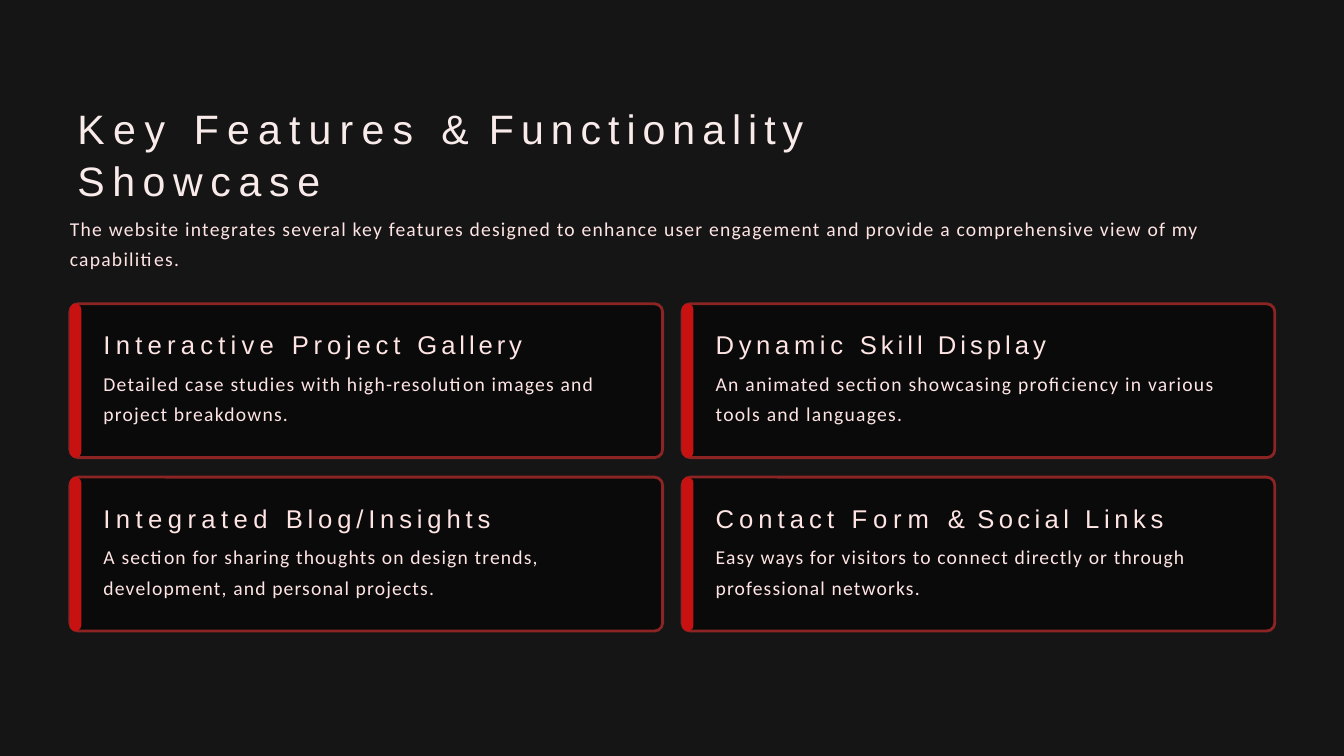
"""Build the key features slide: a heading, an introduction and a grid of four cards."""
from typing import NamedTuple

import pptx
import pptx.dml.color
import pptx.enum.shapes
import pptx.enum.text
import pptx.util

Inches = pptx.util.Inches
Pt = pptx.util.Pt
RGBColor = pptx.dml.color.RGBColor

PAGE_FILL = RGBColor(0x15, 0x15, 0x15)
CARD_FILL = RGBColor(0x0A, 0x0A, 0x0A)
BORDER = RGBColor(0x8C, 0x24, 0x24)
ACCENT = RGBColor(0xC8, 0x12, 0x12)
TITLE_COLOR = RGBColor(0xFA, 0xEB, 0xEB)
TEXT_COLOR = RGBColor(0xFF, 0xE4, 0xE4)

TITLE_FONT = {"name": "Arial", "size": Pt(44), "bold": False}
HEADING_FONT = {"name": "Arial", "size": Pt(27.5), "bold": False}
BODY_FONT = {"name": "Calibri", "size": Pt(21), "bold": False}

GRID_LEFT, GRID_TOP = 1.04, 4.52
CARD_WIDTH, CARD_HEIGHT = 8.82, 2.29
COLUMN_STEP, ROW_STEP = 9.11, 2.58
CORNER, BAR_WIDTH = 0.12, 0.17


class Span(NamedTuple):
    text: str
    spacing: float


class Card(NamedTuple):
    heading: list[Span]
    body: Span


TITLE = [Span("Key ", 9.2), Span("Features ", 8.8), Span("& ", 4.7),
         Span("Functionality ", 7.5), Span("Showcase", 8.2)]
INTRO = Span("The website integrates several key features designed to enhance user engagement "
             "and provide a comprehensive view of my capabilities.", 1.33)
CARDS = [
    Card([Span("Interactive ", 5.6), Span("Project ", 5.2), Span("Gallery", 4.2)],
         Span("Detailed case studies with high-resolution images and project breakdowns.", 1.3)),
    Card([Span("Dynamic ", 5), Span("Skill Display", 4.3)],
         Span("An animated section showcasing proficiency in various tools and languages.", 1.35)),
    Card([Span("Integrated ", 5.8), Span("Blog/Insights", 5.2)],
         Span("A section for sharing thoughts on design trends, development, "
              "and personal projects.", 1.25)),
    Card([Span("Contact ", 5.4), Span("Form ", 6.3), Span("& ", 2.8),
          Span("Social ", 4.7), Span("Links", 5)],
         Span("Easy ways for visitors to connect directly or through professional networks.", 1.25)),
]


def add_box(page, left: float, top: float, width: float, height: float):
    """Add an empty wrapping text box without insets and return its text frame."""
    frame = page.shapes.add_textbox(
        Inches(left), Inches(top), Inches(width), Inches(height)).text_frame
    settings = {"word_wrap": True, "margin_left": 0, "margin_top": 0, "margin_right": 0,
                "margin_bottom": 0, "vertical_anchor": pptx.enum.text.MSO_ANCHOR.TOP}
    for name, value in settings.items():
        setattr(frame, name, value)
    return frame


def write(para, spans: list[Span], font: dict, color: RGBColor, layout: dict) -> None:
    """Fill a paragraph with letter-spaced spans."""
    for name, value in layout.items():
        setattr(para, name, value)
    for text, spacing in spans:
        span = para.add_run()
        span.text = text
        for name, value in font.items():
            setattr(span.font, name, value)
        span.font.color.rgb = color
        span._r.get_or_add_rPr().set("spc", str(round(spacing * 100)))


def add_rounded(page, left: float, top: float, width: float, radius: float, fill: RGBColor):
    """Add a card-high rounded rectangle with the given corner radius."""
    shape = page.shapes.add_shape(
        pptx.enum.shapes.MSO_SHAPE.ROUNDED_RECTANGLE,
        Inches(left), Inches(top), Inches(width), Inches(CARD_HEIGHT))
    shape.adjustments[0] = radius / min(width, CARD_HEIGHT)
    shape.shadow.inherit = False
    shape.fill.solid()
    shape.fill.fore_color.rgb = fill
    shape.line.fill.background()
    return shape


def add_card(page, card: Card, left: float, top: float) -> None:
    """Draw one bordered card with its accent bar, heading and body."""
    panel = add_rounded(page, left, top, CARD_WIDTH, CORNER, CARD_FILL)
    panel.line.color.rgb = BORDER
    panel.line.width = Pt(3)
    add_rounded(page, left, top, BAR_WIDTH, BAR_WIDTH / 2, ACCENT)
    frame = add_box(page, left + 0.5, top + 0.38, 7.6, 1.45)
    write(frame.paragraphs[0], card.heading, HEADING_FONT, TEXT_COLOR, {})
    write(frame.add_paragraph(), [card.body], BODY_FONT, TEXT_COLOR,
          {"space_before": Pt(4.4), "line_spacing": Pt(33)})


def main() -> None:
    """Build and save the deck."""
    deck = pptx.Presentation()
    deck.slide_width, deck.slide_height = Inches(20), Inches(11.25)
    page = deck.slides.add_slide(deck.slide_layouts[6])
    page.background.fill.solid()
    page.background.fill.fore_color.rgb = PAGE_FILL

    title = add_box(page, 1.15, 1.5, 12, 1.55)
    write(title.paragraphs[0], TITLE, TITLE_FONT, TITLE_COLOR, {"line_spacing": Pt(55.5)})
    intro = add_box(page, GRID_LEFT, 3.13, 17.9, 0.9)
    write(intro.paragraphs[0], [INTRO], BODY_FONT, TEXT_COLOR, {"line_spacing": Pt(32)})

    for index, card in enumerate(CARDS):
        row, column = divmod(index, 2)
        add_card(page, card, GRID_LEFT + column * COLUMN_STEP, GRID_TOP + row * ROW_STEP)
    deck.save("out.pptx")


if __name__ == "__main__":
    main()
